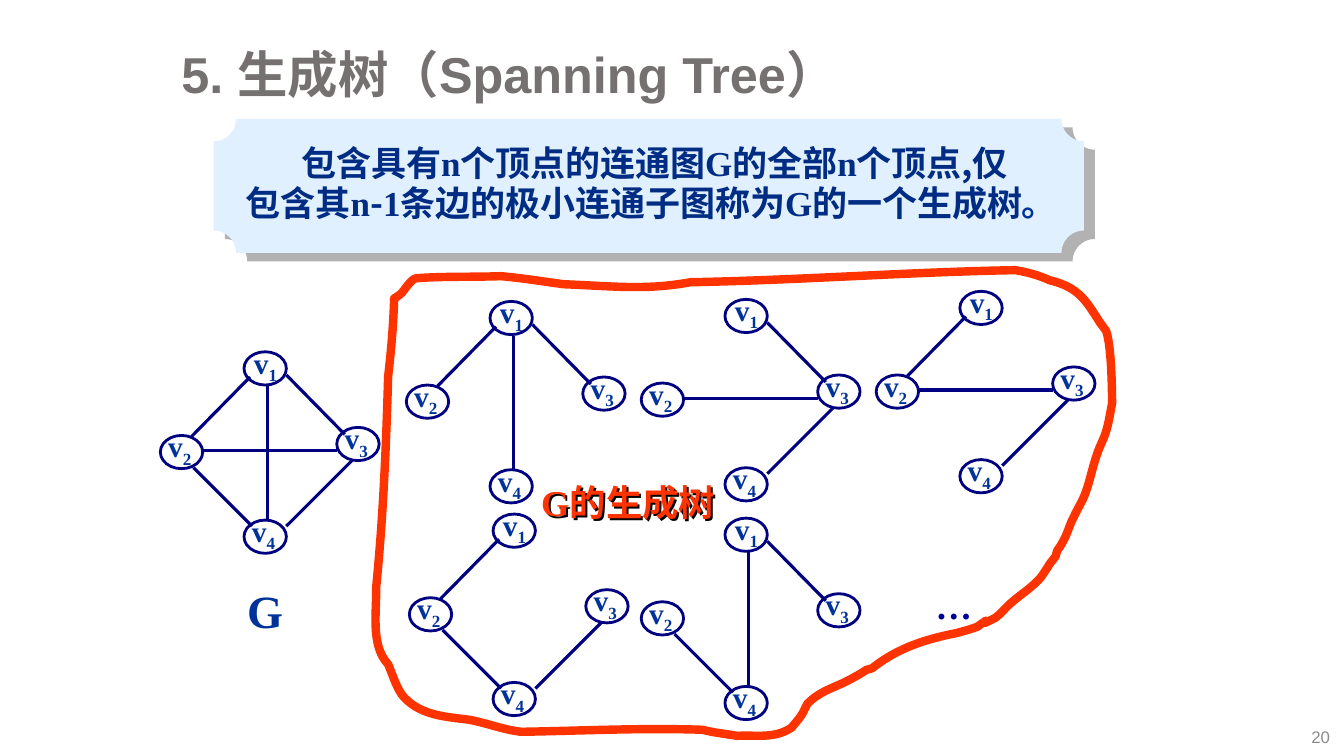
from dataclasses import dataclass
from itertools import groupby
from typing import NamedTuple, Optional, Sequence

from lxml import etree
from pptx import Presentation
from pptx.dml.color import RGBColor
from pptx.enum.shapes import MSO_CONNECTOR, MSO_SHAPE
from pptx.enum.text import MSO_ANCHOR, MSO_AUTO_SIZE, PP_ALIGN
from pptx.oxml.ns import qn
from pptx.util import Inches, Pt

LEFT, CENTER, RIGHT = PP_ALIGN.LEFT, PP_ALIGN.CENTER, PP_ALIGN.RIGHT
TOP, MIDDLE = MSO_ANCHOR.TOP, MSO_ANCHOR.MIDDLE
FIT = MSO_AUTO_SIZE.SHAPE_TO_FIT_TEXT
ELLIPSE, PLAQUE, STRAIGHT = MSO_SHAPE.OVAL, MSO_SHAPE.PLAQUE, MSO_CONNECTOR.STRAIGHT

SANS, SERIF, CHINESE = "Arial", "Times New Roman", "Noto Sans CJK SC"
NAVY, BLUE, DEEP_BLUE, RED = "000080", "003399", "002C84", "FF3300"


class Box(NamedTuple):
    left: float
    top: float
    width: float
    height: float


@dataclass
class Run:
    text: str
    font: str = SERIF
    subscript: bool = False
    color: Optional[str] = None


class Graph(NamedTuple):
    left: float  # corner of the v1 ellipse
    top: float
    edges: Sequence[str]


# Places relative to the corner of the v1 ellipse
VERTICES = {"1": (0, 0), "2": (-0.83, 0.83), "3": (0.92, 0.75), "4": (0, 1.67)}
EDGES = {
    "12": (0.06, 0.25, -0.52, 0.84),
    "13": (0.42, 0.23, 1.0, 0.82),
    "14": (0.23, 0.34, 0.23, 1.67),
    "23": (-0.42, 0.98, 0.92, 0.98),
    "24": (-0.5, 1.15, 0.08, 1.73),
    "34": (1.08, 1.07, 0.42, 1.73),
}
GRAPHS = [
    Graph(4.86, 2.99, ("12", "13", "14")),
    Graph(7.19, 2.97, ("13", "23", "34")),
    Graph(9.52, 2.89, ("12", "23", "34")),
    Graph(4.89, 5.1, ("12", "24", "34")),
    Graph(7.19, 5.14, ("13", "14", "24")),
    Graph(2.42, 3.49, tuple(EDGES)),
]

# Closed Bézier outline in hundredths of an inch: two control points and an end point per row
OUTLINE_START = (391, 296)
OUTLINE_CURVES = [
    (390, 326, 388, 347, 385, 374), (383, 444, 380, 515, 373, 584),
    (374, 605, 367, 640, 385, 659), (389, 668, 394, 685, 401, 692),
    (418, 710, 442, 711, 465, 714), (482, 717, 499, 724, 517, 726),
    (579, 725, 636, 722, 697, 724), (708, 727, 720, 728, 731, 730),
    (752, 729, 768, 733, 785, 722), (789, 717, 794, 712, 797, 706),
    (798, 704, 799, 701, 801, 698), (815, 684, 830, 682, 847, 672),
    (867, 661, 852, 667, 865, 663), (890, 643, 918, 634, 949, 628),
    (963, 624, 957, 626, 969, 622), (992, 606, 961, 627, 987, 613),
    (994, 608, 996, 604, 1003, 598), (1012, 590, 1025, 582, 1033, 572),
    (1035, 569, 1037, 566, 1039, 563), (1041, 559, 1044, 556, 1047, 552),
    (1050, 541, 1047, 551, 1055, 536), (1059, 529, 1061, 520, 1065, 513),
    (1069, 504, 1074, 497, 1077, 488), (1081, 477, 1083, 466, 1087, 454),
    (1089, 447, 1092, 441, 1095, 434), (1099, 424, 1101, 411, 1103, 400),
    (1103, 397, 1103, 343, 1097, 328), (1095, 325, 1093, 323, 1091, 320),
    (1077, 298, 1070, 285, 1041, 278), (1030, 273, 1019, 270, 1007, 268),
    (899, 270, 793, 278, 685, 280), (641, 288, 610, 284, 559, 282),
    (537, 279, 519, 276, 497, 274), (469, 275, 441, 274, 413, 276),
    (407, 277, 401, 289, 397, 292), (395, 294, 391, 296, 391, 296),
]


def rgb(color: str) -> RGBColor:
    return RGBColor.from_string(color)


def add_shadow(shape, color: str, distance: float, degrees: int) -> None:
    shape.shadow.inherit = False
    effects = shape._element.spPr.find(qn("a:effectLst"))
    shadow = etree.SubElement(effects, qn("a:outerShdw"), dist=str(Pt(distance)),
                              dir=str(degrees * 60000), algn="ctr", rotWithShape="0")
    etree.SubElement(shadow, qn("a:srgbClr"), val=color)


def mixed_runs(text: str) -> list[Run]:
    """Letters and digits are serif, everything else uses the Chinese font."""
    groups = groupby(text, lambda letter: letter.isascii() and letter.isalnum())
    return [Run("".join(letters), SERIF if latin else CHINESE) for latin, letters in groups]


def add_text(slide, box: Box, paragraphs: Sequence[Sequence[Run]], *, size: float,
             color: str, bold: bool = True, align=LEFT, anchor=TOP, wrap: bool = True,
             fit: bool = True, spacing: float = 1.0, indent: float = 0,
             shadow: bool = False) -> None:
    shape = slide.shapes.add_textbox(*map(Inches, box))
    if shadow:
        add_shadow(shape, "000000", 2, 45)
    frame = shape.text_frame
    frame.word_wrap = wrap
    frame.vertical_anchor = anchor
    if fit:
        frame.auto_size = FIT
    for index, runs in enumerate(paragraphs):
        paragraph = frame.add_paragraph() if index else frame.paragraphs[0]
        paragraph.alignment = align
        paragraph.line_spacing = spacing
        if indent and index == 0:
            paragraph._p.get_or_add_pPr().set("indent", str(Inches(indent)))
        for item in runs:
            run = paragraph.add_run()
            run.text = item.text
            run.font.size, run.font.bold = Pt(size), bold
            run.font.color.rgb = rgb(item.color or color)
            properties = run._r.get_or_add_rPr()
            if item.subscript:
                properties.set("baseline", "-25000")
            for tag in ("a:latin", "a:ea"):
                etree.SubElement(properties, qn(tag), typeface=item.font)


def add_edge(slide, left: float, top: float, edge: str) -> None:
    x1, y1, x2, y2 = EDGES[edge]
    ends = (left + x1, top + y1, left + x2, top + y2)
    line = slide.shapes.add_connector(STRAIGHT, *map(Inches, ends))
    line.line.color.rgb, line.line.width = rgb(NAVY), Pt(2.25)
    etree.SubElement(line._element.spPr, qn("a:effectLst"))


def add_graph(slide, graph: Graph) -> None:
    for x, y in VERTICES.values():
        box = Box(graph.left + x, graph.top + y, 0.42, 0.33)
        vertex = slide.shapes.add_shape(ELLIPSE, *map(Inches, box))
        vertex.shadow.inherit = False
        vertex.fill.background()
        vertex.line.color.rgb, vertex.line.width = rgb(NAVY), Pt(2)
    for edge in graph.edges:
        add_edge(slide, graph.left, graph.top, edge)
    for name, (x, y) in VERTICES.items():
        shift = 0 if name == "1" else -0.02
        box = Box(graph.left + x + shift, graph.top + y - 0.12, 0.44, 0.45)
        add_text(slide, box, [[Run("v"), Run(name, subscript=True)]],
                 size=21, color=BLUE, wrap=False)


def add_outline(slide) -> None:
    ends = [curve[4:] for curve in OUTLINE_CURVES]
    builder = slide.shapes.build_freeform(*OUTLINE_START, scale=Inches(0.01))
    builder.add_line_segments(ends, close=True)
    outline = builder.convert_to_shape()
    outline.shadow.inherit = False
    outline.fill.background()
    outline.line.color.rgb, outline.line.width = rgb(RED), Pt(6)

    # Turn each straight segment into its Bézier curve
    left, top = (min(values) for values in zip(*ends))
    segments = list(outline._element.spPr.iter(qn("a:lnTo")))
    for segment, curve in zip(segments, OUTLINE_CURVES):
        bezier = etree.Element(qn("a:cubicBezTo"))
        for x, y in zip(curve[::2], curve[1::2]):
            etree.SubElement(bezier, qn("a:pt"), x=str(x - left), y=str(y - top))
        segment.getparent().replace(segment, bezier)


def add_definition(slide) -> None:
    plaque = slide.shapes.add_shape(PLAQUE, *map(Inches, Box(2.12, 1.18, 8.63, 1.33)))
    plaque.adjustments[0] = 0.167
    plaque.fill.solid()
    plaque.fill.fore_color.rgb = rgb("E1F0FF")
    plaque.line.fill.background()
    add_shadow(plaque, "B2B2B2", 10, 37)
    paragraphs = [
        mixed_runs("包含具有n个顶点的连通图G的全部n个顶点,仅"),
        mixed_runs("包含其n-1条边的极小连通子图称为G的一个生成树") + [Run("。", CHINESE, color=BLUE)],
    ]
    add_text(slide, Box(2.34, 1.39, 8.43, 0.89), paragraphs, size=25, color=DEEP_BLUE,
             spacing=0.95, indent=0.55)


def main() -> None:
    presentation = Presentation()
    presentation.slide_width, presentation.slide_height = Inches(13.33), Inches(7.5)
    slide = presentation.slides.add_slide(presentation.slide_layouts[6])

    # Title, page number and definition
    add_text(slide, Box(1.7, 0.34, 11.25, 0.85), [[Run("5. 生成树（Spanning Tree）", SANS)]],
             size=36, color="767171", anchor=MIDDLE, fit=False, spacing=0.9)
    add_text(slide, Box(12.82, 7.12, 0.47, 0.38), [[Run("20", SANS)]], size=12,
             color="8C8C8C", bold=False, align=RIGHT, anchor=MIDDLE, fit=False)
    add_definition(slide)

    # Spanning trees and the graph G
    for graph in GRAPHS:
        add_graph(slide, graph)
    add_text(slide, Box(9.18, 5.74, 0.56, 0.53), [[Run("…")]], size=26, color="000099",
             align=CENTER, wrap=False)
    add_text(slide, Box(2.35, 5.73, 0.56, 0.65), [[Run("G")]], size=33, color=BLUE,
             align=CENTER, wrap=False)

    # Hand-drawn border around the trees
    add_outline(slide)
    add_text(slide, Box(5.27, 4.71, 2.24, 0.53), [mixed_runs("G的生成树")], size=26,
             color=RED, shadow=True)

    presentation.save("out.pptx")


if __name__ == "__main__":
    main()
